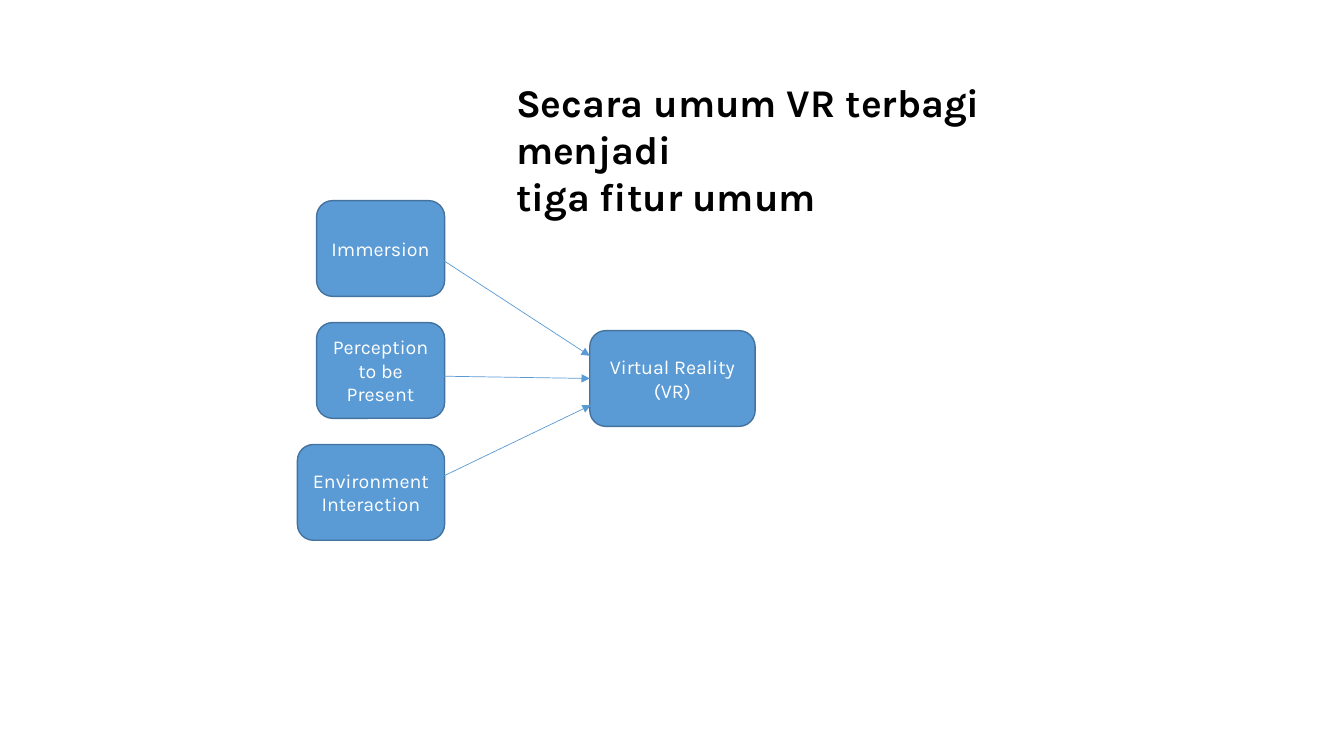
from lxml import etree
from pptx import Presentation
from pptx.dml.color import RGBColor
from pptx.enum.shapes import MSO_CONNECTOR as CONNECTOR, MSO_SHAPE as SHAPE
from pptx.enum.text import MSO_ANCHOR as ANCHOR, MSO_AUTO_SIZE as AUTO_SIZE, PP_ALIGN as ALIGN
from pptx.oxml.ns import qn
from pptx.util import Inches, Pt


def color(value):
    return RGBColor.from_string(value)


def write_lines(text_frame, lines, alignment, font_format):
    for index, line in enumerate(lines):
        paragraph = text_frame.paragraphs[0] if index == 0 else text_frame.add_paragraph()
        paragraph.alignment = alignment
        run = paragraph.add_run()
        run.text = line
        run.font.color.rgb = color(font_format["color"])
        for name in ("name", "size", "bold"):
            setattr(run.font, name, font_format[name])


TITLE_FONT = {"name": "Karla", "size": Pt(28), "bold": True, "color": "000000"}
BOX_FONT = {"name": "Karla", "size": Pt(14), "bold": False, "color": "FFFFFF"}
BOX_HEIGHT = 0.95
FEATURE_RIGHT = 4.41
FEATURE_TOP = 1.99
FEATURE_STEP = 1.21

presentation = Presentation()
presentation.slide_width = Inches(13.33)
presentation.slide_height = Inches(7.5)
slide = presentation.slides.add_slide(presentation.slide_layouts[6])

title = slide.shapes.add_textbox(Inches(5.02), Inches(0.73), Inches(6.3), Inches(1.04))
title_format = {"word_wrap": True, "auto_size": AUTO_SIZE.SHAPE_TO_FIT_TEXT}
for name, value in title_format.items():
    setattr(title.text_frame, name, value)
write_lines(
    title.text_frame,
    ["Secara umum VR terbagi menjadi", "tiga fitur umum"],
    ALIGN.LEFT,
    TITLE_FONT,
)

features = [
    (1.27, ["Immersion"]),
    (1.27, ["Perception to be Present"]),
    (1.46, ["Environment", "Interaction"]),
]
boxes = [
    (FEATURE_RIGHT - width, FEATURE_TOP + row * FEATURE_STEP, width, lines)
    for row, (width, lines) in enumerate(features)
]
boxes.append((5.85, 3.28, 1.64, ["Virtual Reality", "(VR)"]))

for left, top, width, lines in boxes:
    box = slide.shapes.add_shape(
        SHAPE.ROUNDED_RECTANGLE, Inches(left), Inches(top), Inches(width), Inches(BOX_HEIGHT)
    )
    box.shadow.inherit = False
    box.fill.solid()
    box.fill.fore_color.rgb = color("5B9BD5")
    box.line.color.rgb = color("43739E")
    box.line.width = Pt(1)
    box.text_frame.word_wrap = True
    box.text_frame.vertical_anchor = ANCHOR.MIDDLE
    write_lines(box.text_frame, lines, ALIGN.CENTER, BOX_FONT)
virtual_reality = box

arrows = [
    (4.27, 2.5, 5.85, 3.53, False),
    (4.28, 4.78, 5.86, 4.02, False),
    (4.25, 3.73, 5.85, 3.76, True),
]
for start_x, start_y, end_x, end_y, ends_at_middle in arrows:
    arrow = slide.shapes.add_connector(
        CONNECTOR.STRAIGHT, Inches(start_x), Inches(start_y), Inches(end_x), Inches(end_y)
    )
    if ends_at_middle:
        arrow.end_connect(virtual_reality, 1)
    arrow.line.color.rgb = color("5B9BD5")
    arrow.line.width = Pt(0.5)
    etree.SubElement(arrow.line._get_or_add_ln(), qn("a:tailEnd"), type="triangle")
    etree.SubElement(arrow._element.spPr, qn("a:effectLst"))

presentation.save("out.pptx")
